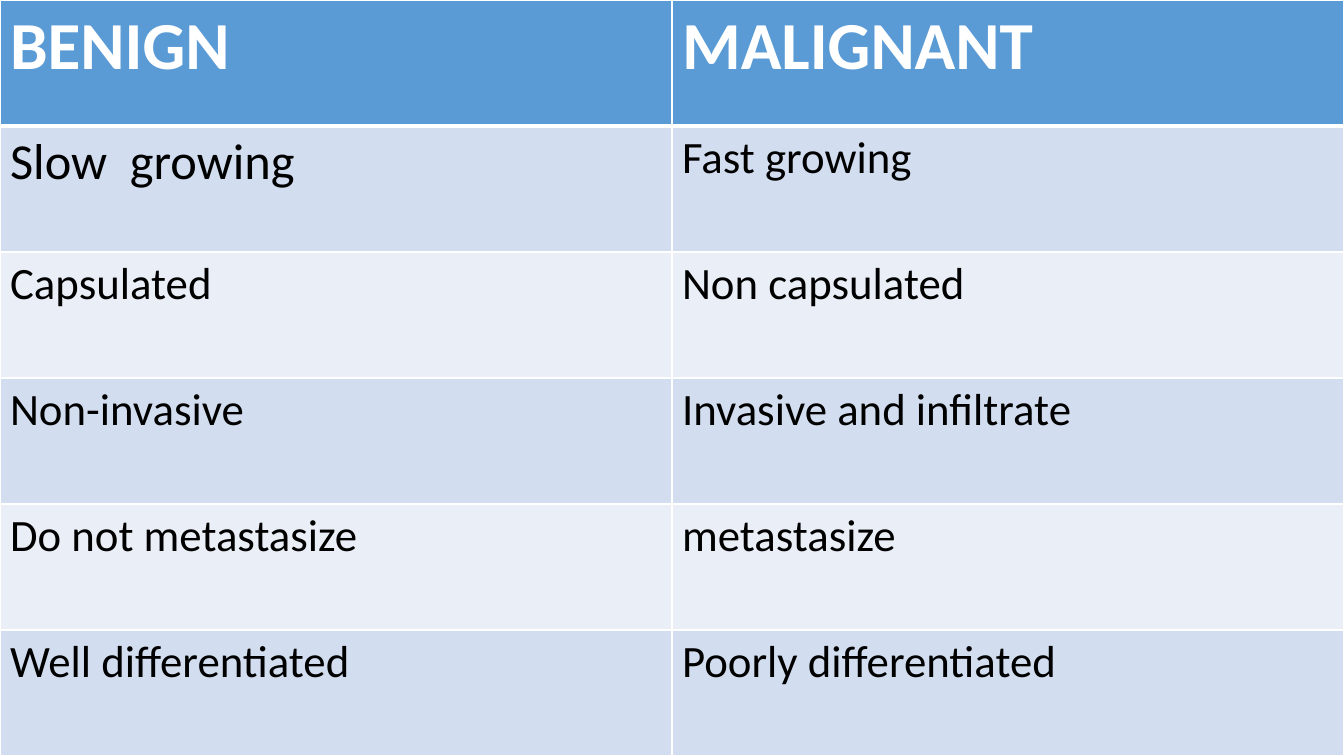
from lxml import etree
from pptx import Presentation
from pptx.dml.color import RGBColor
from pptx.oxml.ns import qn
from pptx.util import Inches, Pt

ROWS = [
    ("BENIGN", "MALIGNANT"),
    ("Slow  growing", "Fast growing"),
    ("Capsulated", "Non capsulated"),
    ("Non-invasive", "Invasive and infiltrate"),
    ("Do not metastasize", "metastasize"),
    ("Well differentiated", "Poorly differentiated"),
]
COLORS = {
    "header": "5B9BD5",
    "odd": "D2DEEF",
    "even": "EAEFF7",
    "border": "FFFFFF",
    "header_text": "FFFFFF",
    "body_text": "000000",
}
FONT = "Calibri"
HEADER_SIZE, BODY_SIZE = 48, 32
SPECIAL_SIZES = {(1, 0): 36}
THIN, THICK = 1, 3
WIDTH, HEIGHT = 13.33, 7.5


def set_border(cell, side, width):
    ln = etree.SubElement(cell._tc.get_or_add_tcPr(), qn(f"a:ln{side}"), w=str(Pt(width)))
    fill = etree.SubElement(ln, qn("a:solidFill"))
    etree.SubElement(fill, qn("a:srgbClr"), val=COLORS["border"])


def style_cell(cell, row, col, text):
    header = row == 0
    for side in "LRTB":
        below_header = (row, side) in ((0, "B"), (1, "T"))
        set_border(cell, side, THICK if below_header else THIN)
    band = "header" if header else "odd" if row % 2 else "even"
    cell.fill.solid()
    cell.fill.fore_color.rgb = RGBColor.from_string(COLORS[band])
    cell.text = text
    font = cell.text_frame.paragraphs[0].font
    font.name = FONT
    font.size = Pt(HEADER_SIZE if header else SPECIAL_SIZES.get((row, col), BODY_SIZE))
    font.bold = header
    font.color.rgb = RGBColor.from_string(COLORS["header_text" if header else "body_text"])


def main():
    prs = Presentation()
    prs.slide_width, prs.slide_height = Inches(WIDTH), Inches(HEIGHT)
    slide = prs.slides.add_slide(prs.slide_layouts[6])
    table = slide.shapes.add_table(
        len(ROWS), len(ROWS[0]), 0, 0, Inches(WIDTH), Inches(HEIGHT)
    ).table
    for row, texts in enumerate(ROWS):
        for col, text in enumerate(texts):
            style_cell(table.cell(row, col), row, col, text)
    prs.save("out.pptx")


if __name__ == "__main__":
    main()
